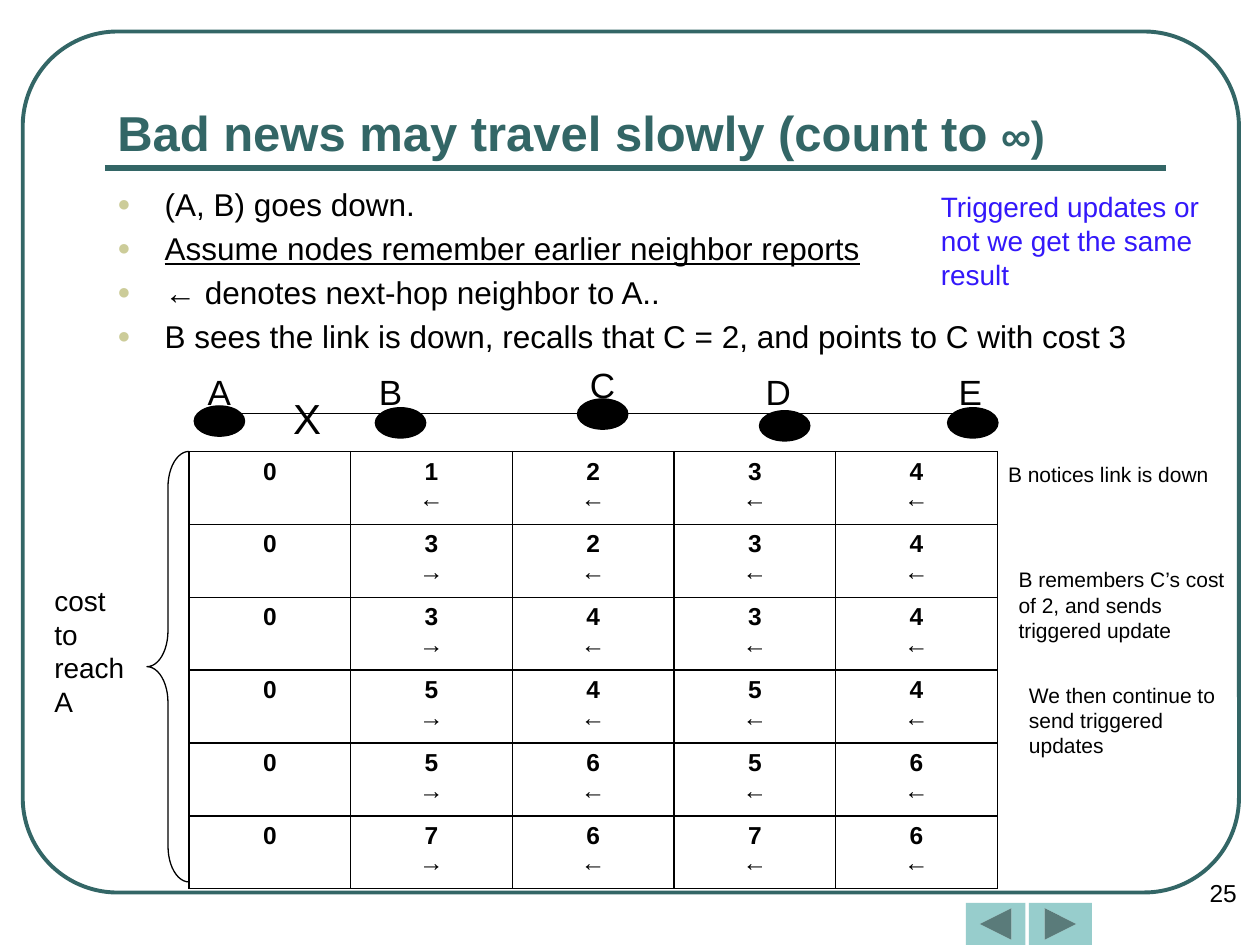
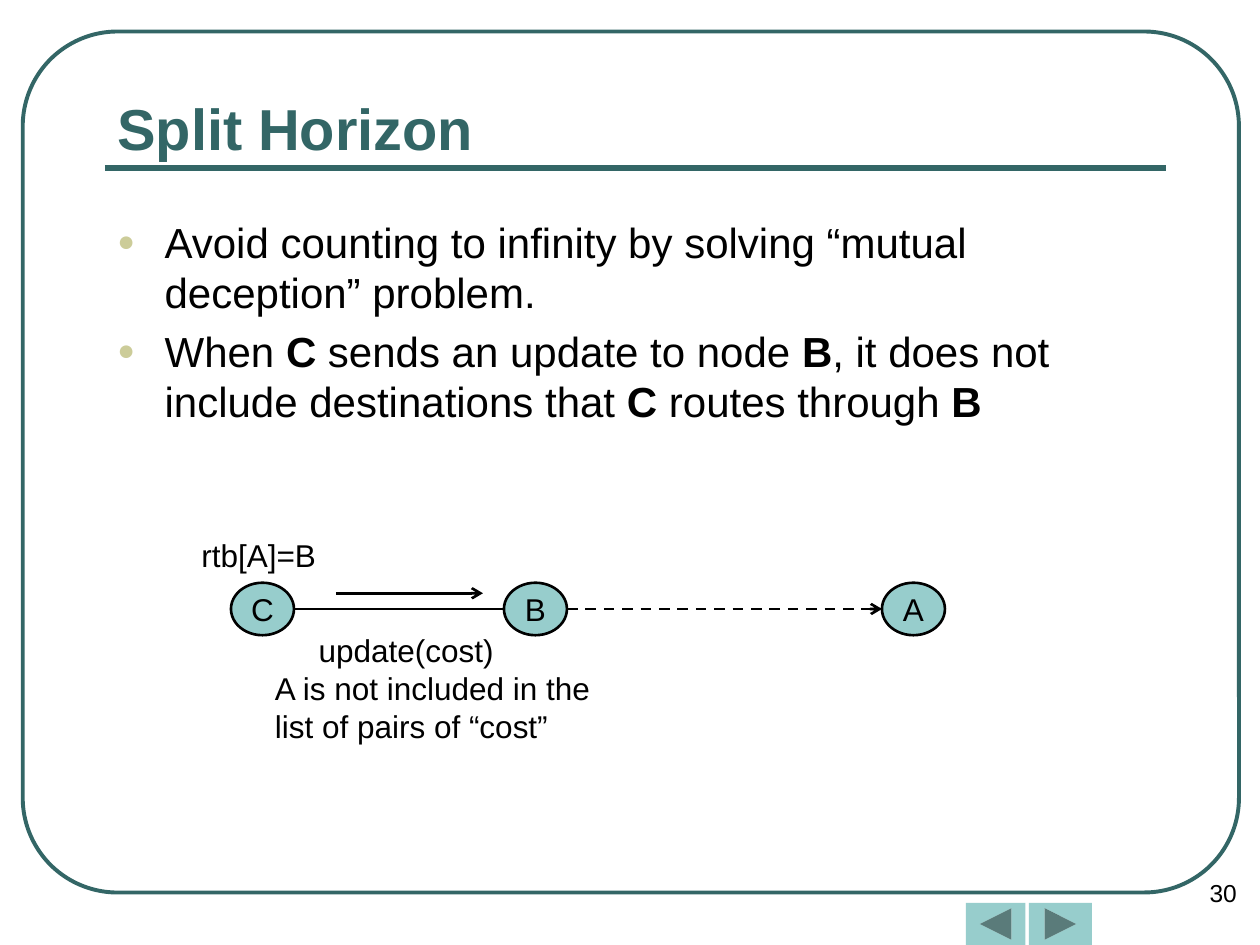
"""Build two slides on distance-vector routing: count to infinity and split horizon."""
from lxml import etree
from pptx import Presentation
from pptx.dml.color import RGBColor
from pptx.enum import dml, shapes, text
from pptx.oxml import ns
from pptx.util import Pt

TEAL, AQUA, SAND, BLACK, VIOLET = "336666", "97CDCC", "CCCC99", "000000", "3318FA"
FONT = "Arial"
hue = RGBColor.from_string
Kind = shapes.MSO_SHAPE
CENTER = text.PP_ALIGN.CENTER


def add(slide, kind, box, words="", size=18, ink=BLACK, bold=None, inset=None,
        fill=None, edge=None, width=0.75, anchor=text.MSO_ANCHOR.TOP, align=None):
    """Add a preset shape, or a text box if kind is None, with its text."""
    place = [Pt(value) for value in box]
    if kind is None:
        item = slide.shapes.add_textbox(*place)
    else:
        item = slide.shapes.add_shape(kind, *place)
        item.shadow.inherit = False
        if fill:
            item.fill.solid()
            item.fill.fore_color.rgb = hue(fill)
        else:
            item.fill.background()
        if edge:
            item.line.color.rgb = hue(edge)
            item.line.width = Pt(width)
        else:
            item.line.fill.background()
    frame = item.text_frame
    frame.word_wrap = True
    frame.vertical_anchor = anchor
    if inset is not None:
        frame.margin_left = frame.margin_right = Pt(inset)
        frame.margin_top = frame.margin_bottom = Pt(inset)
    frame.text = words
    for paragraph in frame.paragraphs:
        paragraph.alignment = align
        for run in paragraph.runs:
            run.font.name, run.font.size, run.font.bold = FONT, Pt(size), bold
            run.font.color.rgb = hue(ink)
    return item


def connect(slide, start, end, width=1.5, color=BLACK, dashed=False, arrow=False):
    """Draw a straight line, dashed or with an arrowhead if asked."""
    link = slide.shapes.add_connector(
        shapes.MSO_CONNECTOR.STRAIGHT, *[Pt(value) for value in start + end])
    link.line.color.rgb = hue(color)
    link.line.width = Pt(width)
    if dashed:
        link.line.dash_style = dml.MSO_LINE.DASH
    if arrow:
        etree.SubElement(link.line._get_or_add_ln(), ns.qn("a:tailEnd"), type="arrow")
    etree.SubElement(link._element.spPr, ns.qn("a:effectLst"))


deck = Presentation()
deck.slide_width, deck.slide_height = Pt(720), Pt(540)

topics = [
    ("Bad news may travel slowly (count to ∞)", 28, "25", (60, 102, 618, 72), 18, "underline", [
        "(A, B) goes down.",
        "|Assume nodes remember earlier neighbor reports|",
        "← denotes next-hop neighbor to A..",
        "B sees the link is down, recalls that C = 2, and points to C with cost 3"]),
    ("Split Horizon", 33, "30", (60, 120, 606, 348), 24, "bold", [
        "Avoid counting to infinity by solving “mutual deception” problem.",
        "When |C| sends an update to node |B|, it does not include destinations "
        "that |C| routes through |B|"]),
]
for title, title_size, number, body_box, body_size, emphasis, points in topics:
    slide = deck.slides.add_slide(deck.slide_layouts[6])
    border = add(slide, Kind.ROUNDED_RECTANGLE, (13, 18, 695, 492), edge=TEAL, width=2.25)
    border.adjustments[0] = 0.11
    connect(slide, (60, 96), (666, 96), 3, TEAL)
    add(slide, Kind.ACTION_BUTTON_FORWARD_OR_NEXT, (588, 516, 36, 24), fill=AQUA)
    add(slide, Kind.ACTION_BUTTON_BACK_OR_PREVIOUS, (552, 516, 34, 24), fill=AQUA)
    add(slide, None, (636, 498, 126, 24), number, 14, align=CENTER)

    heading = add(slide, None, (60, 42, 606, 54), "", anchor=text.MSO_ANCHOR.BOTTOM)
    before, infinity, after = title.partition("∞")
    for part, size in ((before, title_size), (infinity + after, 24)):
        if part:
            run = heading.text_frame.paragraphs[0].add_run()
            run.text = part
            run.font.name, run.font.size, run.font.bold = FONT, Pt(size), True
            run.font.color.rgb = hue(TEAL)

    body = add(slide, None, body_box).text_frame
    for index, point in enumerate(points):
        paragraph = body.add_paragraph() if index else body.paragraphs[0]
        paragraph.space_before = Pt(body_size * 0.2)
        props = paragraph._p.get_or_add_pPr()
        props.set("marL", str(Pt(27)))
        props.set("indent", str(Pt(-27)))
        bullet_color = etree.SubElement(props, ns.qn("a:buClr"))
        etree.SubElement(bullet_color, ns.qn("a:srgbClr"), val=SAND)
        etree.SubElement(props, ns.qn("a:buSzPct"), val="70000")
        etree.SubElement(props, ns.qn("a:buFont"), typeface=FONT)
        etree.SubElement(props, ns.qn("a:buChar"), char="●")
        for order, part in enumerate(point.split("|")):
            if part:
                run = paragraph.add_run()
                run.text = part
                run.font.name, run.font.size = FONT, Pt(body_size)
                run.font.color.rgb = hue(BLACK)
                if order % 2:
                    setattr(run.font, emphasis, True)

count_slide, horizon_slide = deck.slides

costs = ["01234", "03234", "03434", "05454", "05656", "07676"]
grid = count_slide.shapes.add_table(
    len(costs), 5, Pt(108), Pt(258), Pt(462), Pt(249.9)).table
grid.first_row = grid.horz_banding = False
for column in grid.columns:
    column.width = Pt(92.4)
for row_index, row_costs in enumerate(costs):
    grid.rows[row_index].height = Pt(41.65)
    for column_index, cost in enumerate(row_costs):
        cell = grid.cell(row_index, column_index)
        arrow = "→" if column_index == 1 and row_index else "←"
        cell.text_frame.text = f"{cost}\n{arrow}" if column_index else cost
        for paragraph in cell.text_frame.paragraphs:
            paragraph.alignment = CENTER
            font = paragraph.runs[0].font
            font.name, font.size, font.bold = FONT, Pt(14), True
            font.color.rgb = hue(BLACK)
        for side in ("lnL", "lnR", "lnT", "lnB"):
            edge = etree.SubElement(
                cell._tc.get_or_add_tcPr(), ns.qn(f"a:{side}"), w=str(Pt(1)))
            paint = etree.SubElement(edge, ns.qn("a:solidFill"))
            etree.SubElement(paint, ns.qn("a:srgbClr"), val=BLACK)
        cell.fill.background()

connect(count_slide, (124.5, 236.2), (553, 236.2), 0.75)
add(count_slide, None, (160.5, 221, 41, 30), "X", 24)
nodes = [("A", 111, 232, 111.6, 208), ("B", 214.5, 233, 209.5, 208),
         ("C", 330, 228, 330, 204), ("D", 434, 234.7, 430.5, 208),
         ("E", 541.5, 233, 540.7, 208)]
for name, left, top, label_left, label_top in nodes:
    add(count_slide, Kind.OVAL, (left, top, 28.8, 17.3), fill=BLACK, edge=BLACK)
    add(count_slide, None, (label_left, label_top, 41, 30), name, 20)

brace = add(count_slide, Kind.LEFT_BRACE, (84, 258, 24, 246), edge=BLACK)
brace.adjustments[0] = 0.85
add(count_slide, None, (24, 330, 60, 90), "cost\nto reach\nA", 16)
remarks = ["B notices link is down",
           "B remembers C’s cost of 2, and sends triggered update",
           "We then continue to send triggered updates"]
for index, (remark, top) in enumerate(zip(remarks, (264, 324, 390))):
    add(count_slide, None, (576 + 6 * index, top, 120, 30), remark, 12, inset=0)
add(count_slide, None, (530.6, 105, 168.5, 65.5),
    "Triggered updates or\vnot we get the same\nresult", 16, VIOLET)

for name, left in (("C", 132), ("B", 288), ("A", 504)):
    add(horizon_slide, Kind.OVAL, (left, 333, 36, 30), name, inset=0, fill=AQUA,
        edge=BLACK, width=1.5, anchor=text.MSO_ANCHOR.MIDDLE, align=CENTER)
connect(horizon_slide, (168, 348), (288, 348))
message = add(horizon_slide, None, (150, 357, 200, 72.7),
              "update(cost)\nA is not included in the\vlist of pairs of “cost”")
message.text_frame.paragraphs[0]._p.get_or_add_pPr().set("marL", str(Pt(25)))
connect(horizon_slide, (192, 339), (276, 339), arrow=True)
add(horizon_slide, None, (108, 303, 84, 29), "rtb[A]=B")
connect(horizon_slide, (324, 348), (504, 348), dashed=True, arrow=True)

deck.save("out.pptx")
